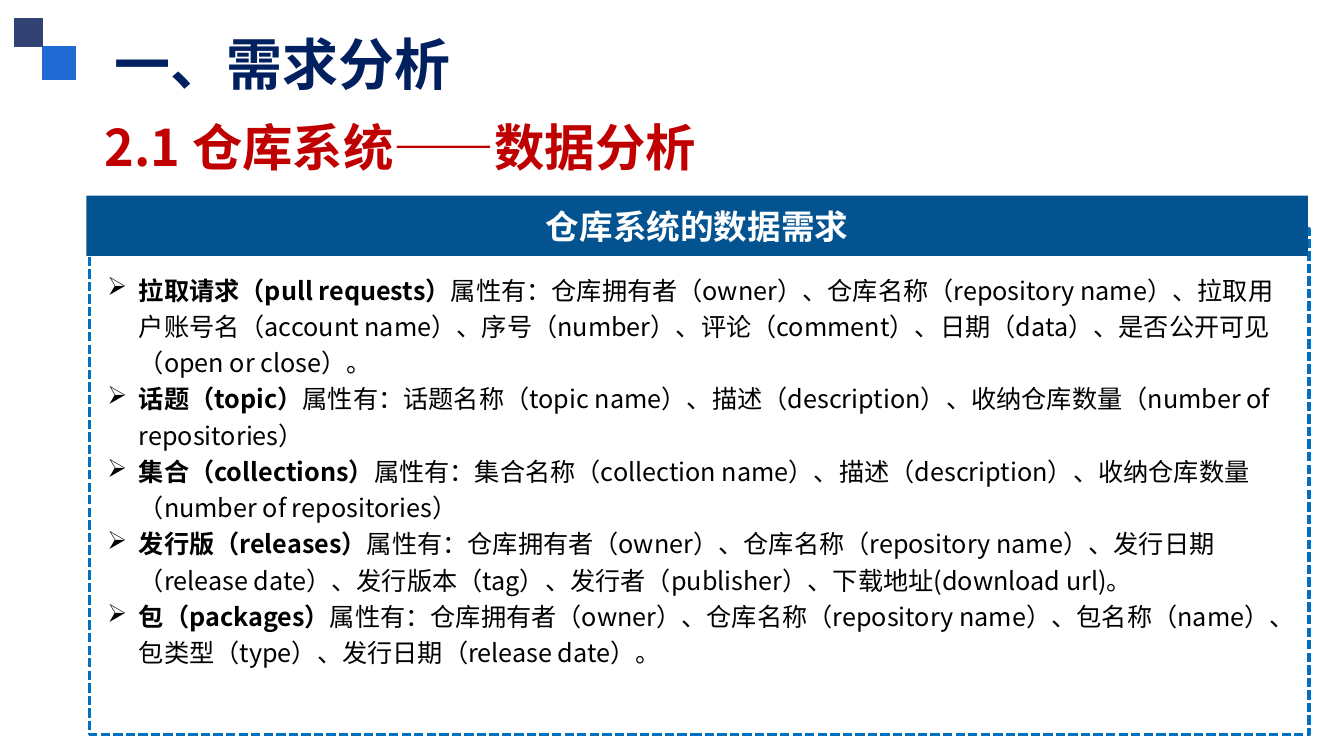
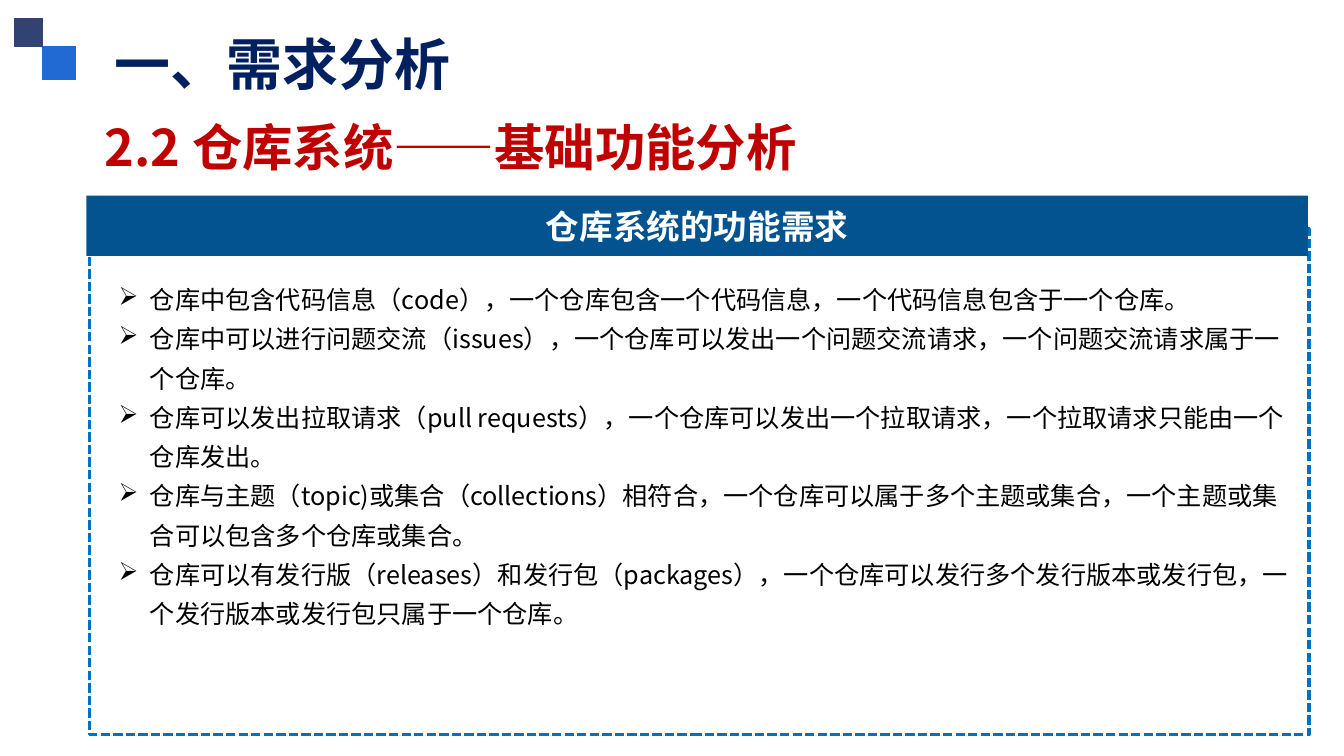
from lxml.etree import SubElement
from pptx import Presentation
from pptx.dml.color import RGBColor
from pptx.enum.dml import MSO_LINE
from pptx.enum.shapes import MSO_SHAPE
from pptx.enum.text import MSO_ANCHOR, PP_ALIGN
from pptx.oxml.ns import qn
from pptx.util import Cm, Pt

# Content: each point is (bold lead, text)
TITLE = "一、需求分析"
SLIDES = [
    {
        "heading": "2.1 仓库系统——数据分析",
        "band": "仓库系统的数据需求",
        "left": 2.46, "top": 6.65, "spacing": 1.2,
        "points": [
            ("拉取请求（pull requests）",
             "属性有：仓库拥有者（owner）、仓库名称（repository name）、拉取用户账号名（account name）、"
             "序号（number）、评论（comment）、日期（data）、是否公开可见（open or close）。"),
            ("话题（topic）",
             "属性有：话题名称（topic name）、描述（description）、收纳仓库数量（number of repositories）"),
            ("集合（collections）",
             "属性有：集合名称（collection name）、描述（description）、收纳仓库数量（number of repositories）"),
            ("发行版（releases）",
             "属性有：仓库拥有者（owner）、仓库名称（repository name）、发行日期（release date）、"
             "发行版本（tag）、发行者（publisher）、下载地址(download url)。"),
            ("包（packages）",
             "属性有：仓库拥有者（owner）、仓库名称（repository name）、包名称（name）、"
             "包类型（type）、发行日期（release date）。"),
        ],
    },
    {
        "heading": "2.2 仓库系统——基础功能分析",
        "band": "仓库系统的功能需求",
        "left": 2.74, "top": 6.81, "spacing": 1.3,
        "points": [
            ("", "仓库中包含代码信息（code），一个仓库包含一个代码信息，一个代码信息包含于一个仓库。"),
            ("", "仓库中可以进行问题交流（issues），一个仓库可以发出一个问题交流请求，"
                 "一个问题交流请求属于一个仓库。"),
            ("", "仓库可以发出拉取请求（pull requests），一个仓库可以发出一个拉取请求，"
                 "一个拉取请求只能由一个仓库发出。"),
            ("", "仓库与主题（topic)或集合（collections）相符合，一个仓库可以属于多个主题或集合，"
                 "一个主题或集合可以包含多个仓库或集合。"),
            ("", "仓库可以有发行版（releases）和发行包（packages），一个仓库可以发行多个发行版本或发行包，"
                 "一个发行版本或发行包只属于一个仓库。"),
        ],
    },
]

# Shared style
FONT = "Noto Sans CJK SC"
COLORS = {
    "title": "002060", "heading": "C00000", "text": "000000", "white": "FFFFFF",
    "band": "035390", "frame": "0070C0",
    "bright": "2169D3", "dark": "324273", "dark_line": "324274",
}
INDENT = Cm(0.79)
TITLE_INDENT = Cm(0.89)
BODY_RIGHT, BODY_BOTTOM = 32.79, 17.07


def color(name):
    return RGBColor.from_string(COLORS[name])


def style_run(run, size, color_name, bold):
    run.font.size = Pt(size)
    run.font.bold = bold
    run.font.color.rgb = color(color_name)
    run.font.name = FONT
    SubElement(run.font._element, qn("a:ea"), typeface=FONT)


def add_text_box(slide, box):
    text_frame = slide.shapes.add_textbox(*map(Cm, box)).text_frame
    text_frame.word_wrap = True
    return text_frame


def add_title(slide, box, text, size, color_name):
    paragraph = add_text_box(slide, box).paragraphs[0]
    paragraph.text = text
    paragraph._p.get_or_add_pPr().set("indent", str(TITLE_INDENT))
    style_run(paragraph.runs[0], size, color_name, True)


def add_rectangle(slide, box, fill=None, line=None, width=1):
    shape = slide.shapes.add_shape(MSO_SHAPE.RECTANGLE, *map(Cm, box))
    shape.shadow.inherit = False
    if fill:
        shape.fill.solid()
        shape.fill.fore_color.rgb = color(fill)
    else:
        shape.fill.background()
    if line:
        shape.line.color.rgb = color(line)
        shape.line.width = Pt(width)
    else:
        shape.line.fill.background()
    return shape


def add_band(slide, text):
    band = add_rectangle(slide, (2.18, 4.93, 30.78, 1.52), "band")
    band.text_frame.text = text
    band.text_frame.vertical_anchor = MSO_ANCHOR.MIDDLE
    paragraph = band.text_frame.paragraphs[0]
    paragraph.alignment = PP_ALIGN.CENTER
    style_run(paragraph.runs[0], 24, "white", True)


def add_points(slide, left, top, spacing, points):
    text_frame = add_text_box(slide, (left, top, BODY_RIGHT - left, BODY_BOTTOM - top))
    for index, parts in enumerate(points):
        paragraph = text_frame.add_paragraph() if index else text_frame.paragraphs[0]
        paragraph.line_spacing = spacing
        properties = paragraph._p.get_or_add_pPr()
        properties.set("marL", str(INDENT))
        properties.set("indent", str(-INDENT))
        SubElement(properties, qn("a:buChar"), char="➢")
        for text, bold in zip(parts, (True, False)):
            if text:
                run = paragraph.add_run()
                run.text = text
                style_run(run, 18, "text", bold)


def add_base(slide, heading, band):
    # Corner squares, titles, dashed frame and band
    add_rectangle(slide, (1.04, 1.14, 0.89, 0.89), "bright", "white")
    add_rectangle(slide, (0.36, 0.46, 0.71, 0.71), "dark", "dark_line")
    add_title(slide, (1.75, 0.61, 11.86, 1.96), TITLE, 40, "title")
    add_title(slide, (1.5, 2.79, 22.71, 1.8), heading, 36, "heading")
    frame = add_rectangle(slide, (2.26, 5.77, 30.73, 12.75), line="frame", width=2.25)
    frame.line.dash_style = MSO_LINE.SQUARE_DOT
    add_band(slide, band)


def main():
    presentation = Presentation()
    presentation.slide_width, presentation.slide_height = Cm(33.87), Cm(19.05)
    for content in SLIDES:
        slide = presentation.slides.add_slide(presentation.slide_layouts[6])
        add_base(slide, content["heading"], content["band"])
        add_points(slide, content["left"], content["top"], content["spacing"], content["points"])
    presentation.save("out.pptx")


if __name__ == "__main__":
    main()
